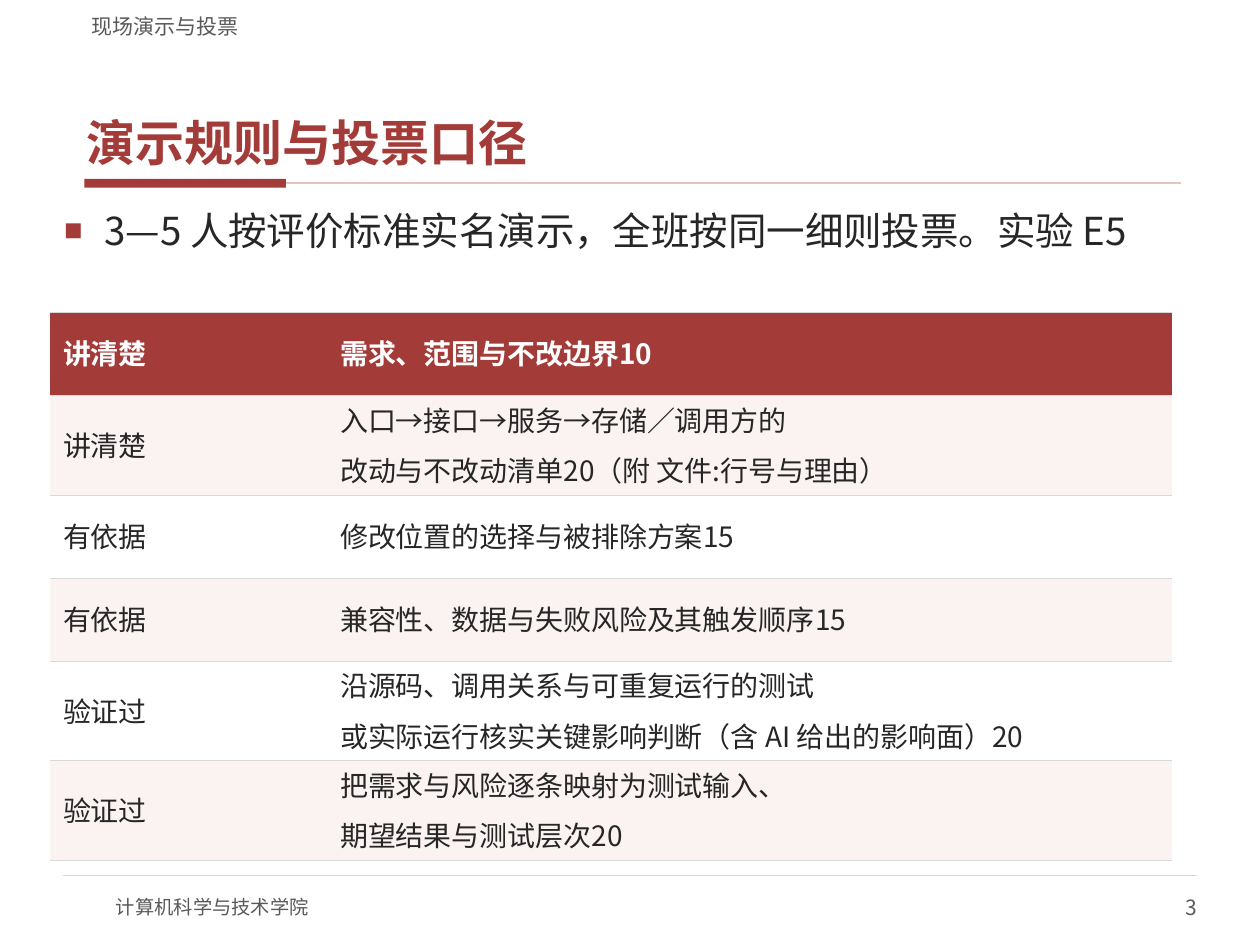
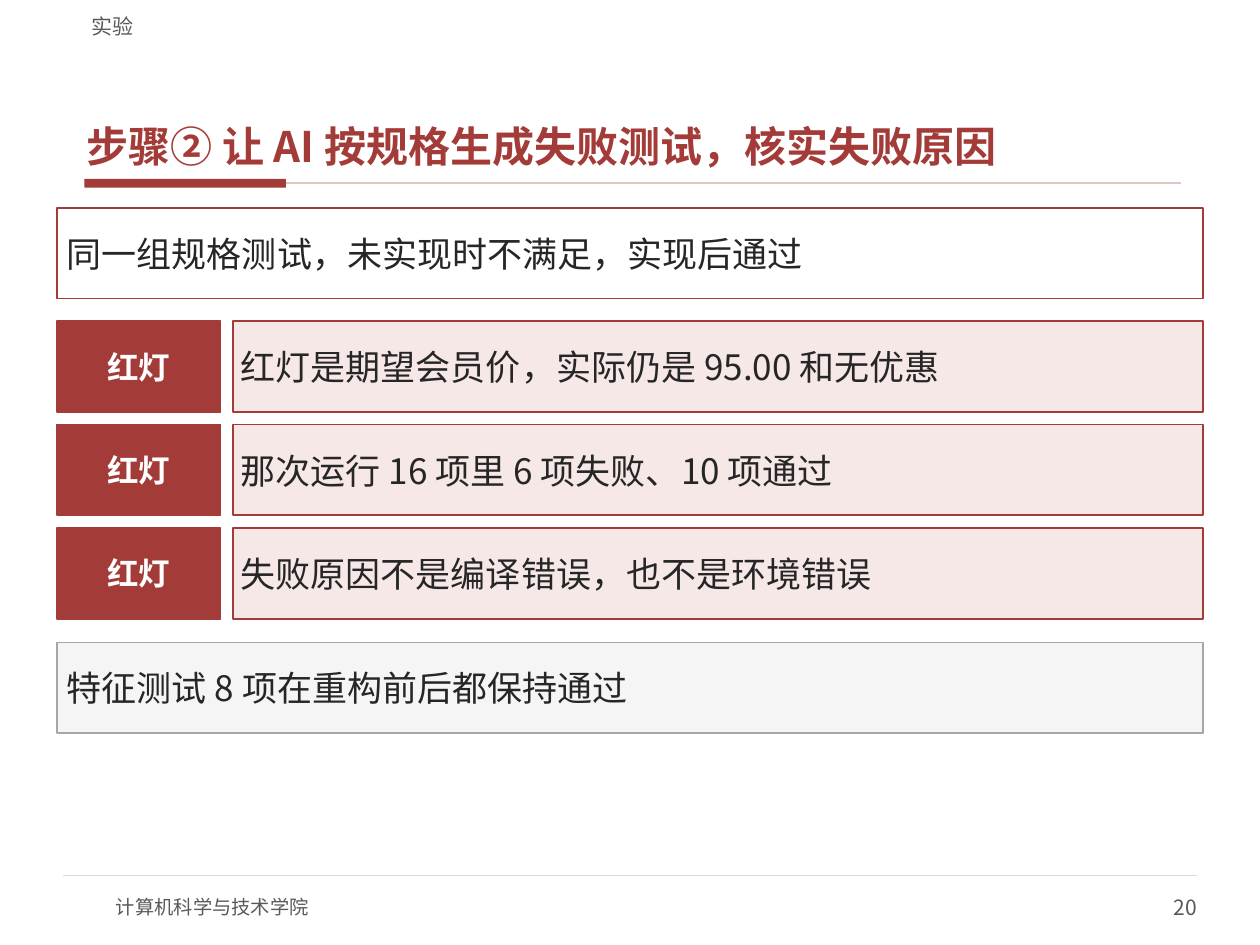
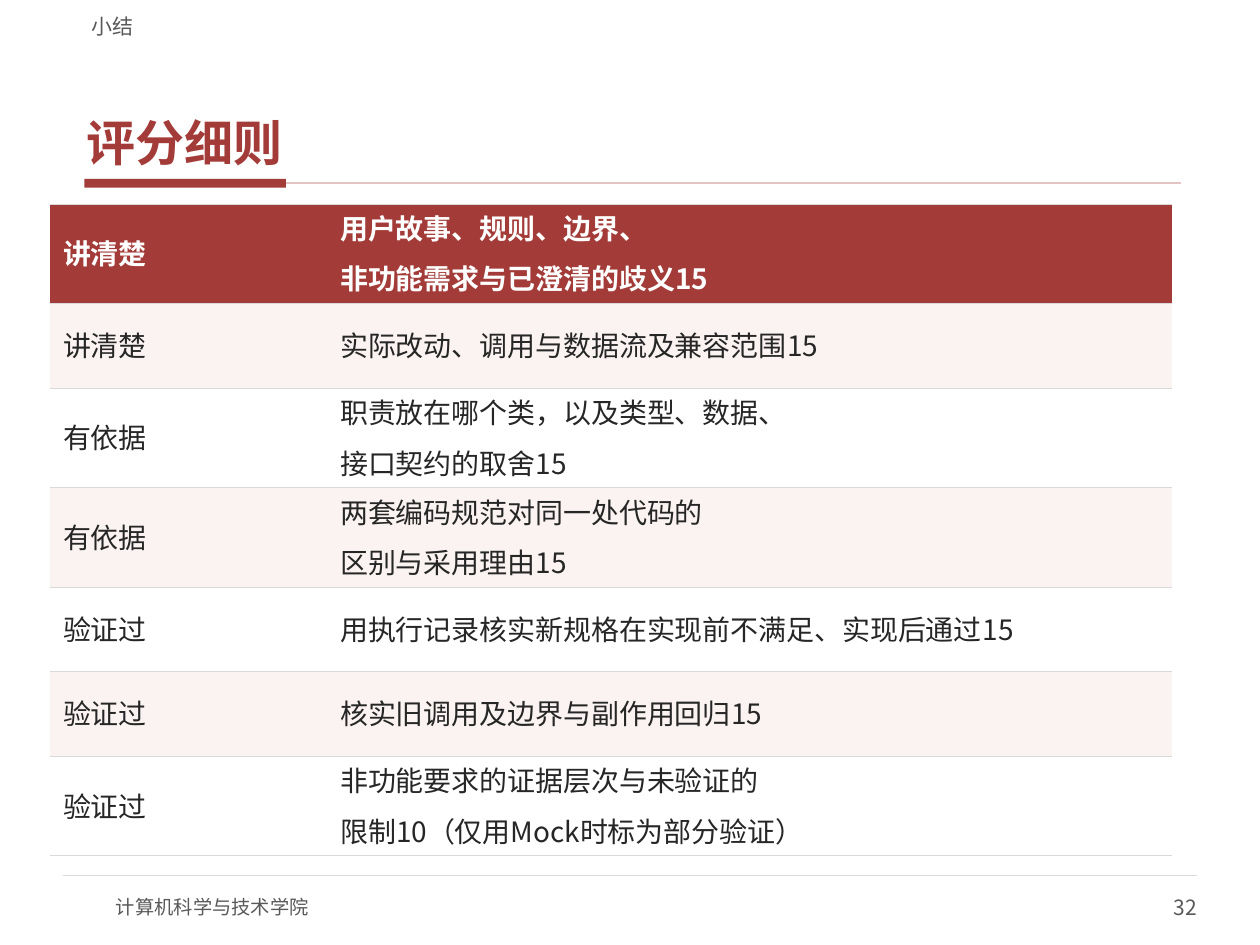
from lxml import etree
from pptx import Presentation
from pptx import util as u
from pptx.dml.color import RGBColor
from pptx.enum import shapes, text
from pptx.oxml import ns

FONT = "Noto Sans CJK SC"
RED, PINK, PALE = "A33B38", "F6E8E6", "FBF3F2"
RULE, LINE, MUTED, INK = "E3C4C2", "D9D9D9", "595959", "262626"
WHITE, SILVER, GRAY = "FFFFFF", "F5F5F5", "A6A6A6"
LEFT, CENTER, RIGHT = text.PP_ALIGN.LEFT, text.PP_ALIGN.CENTER, text.PP_ALIGN.RIGHT
TOP, MIDDLE, BOTTOM = (text.MSO_ANCHOR.TOP, text.MSO_ANCHOR.MIDDLE,
                       text.MSO_ANCHOR.BOTTOM)

RULES = [
    ("讲清楚", "需求、范围与不改边界10"),
    ("讲清楚", "入口→接口→服务→存储／调用方的\n改动与不改动清单20（附 文件:行号与理由）"),
    ("有依据", "修改位置的选择与被排除方案15"),
    ("有依据", "兼容性、数据与失败风险及其触发顺序15"),
    ("验证过", "沿源码、调用关系与可重复运行的测试\n或实际运行核实关键影响判断（含 AI 给出的影响面）20"),
    ("验证过", "把需求与风险逐条映射为测试输入、\n期望结果与测试层次20"),
]
SCORES = [
    ("讲清楚", "用户故事、规则、边界、\n非功能需求与已澄清的歧义15"),
    ("讲清楚", "实际改动、调用与数据流及兼容范围15"),
    ("有依据", "职责放在哪个类，以及类型、数据、\n接口契约的取舍15"),
    ("有依据", "两套编码规范对同一处代码的\n区别与采用理由15"),
    ("验证过", "用执行记录核实新规格在实现前不满足、实现后通过15"),
    ("验证过", "核实旧调用及边界与副作用回归15"),
    ("验证过", "非功能要求的证据层次与未验证的\n限制10（仅用Mock时标为部分验证）"),
]
FAILURES = [
    "红灯是期望会员价，实际仍是 95.00 和无优惠",
    "那次运行 16 项里 6 项失败、10 项通过",
    "失败原因不是编译错误，也不是环境错误",
]


def rgb(value):
    """Turn a hex string into a colour."""
    return RGBColor.from_string(value)


def inches(*values):
    """Turn numbers into lengths."""
    return [u.Inches(value) for value in values]


def add_element(parent, tag, **attributes):
    """Append a drawing element and return it."""
    return etree.SubElement(parent, ns.qn(tag), attributes)


def add_bullet(paragraph, indent):
    """Give a paragraph a small red square bullet."""
    properties = paragraph._p.get_or_add_pPr()
    properties.set("marL", str(u.Inches(indent)))
    properties.set("indent", str(-u.Inches(indent)))
    add_element(add_element(properties, "a:buClr"), "a:srgbClr", val=RED)
    add_element(properties, "a:buSzPct", val="80000")
    add_element(properties, "a:buFont", typeface="Arial")
    add_element(properties, "a:buChar", char="■")


def write(frame, content, size=16, color=INK, bold=False, align=LEFT, anchor=MIDDLE,
          margins=(0, 0), before=0, after=0, spacing=None, bullet=None):
    """Fill a text frame with one paragraph for each line of content."""
    frame.word_wrap = True
    frame.vertical_anchor = anchor
    frame.margin_left = frame.margin_right = u.Inches(margins[0])
    frame.margin_top = frame.margin_bottom = u.Inches(margins[1])
    for index, line in enumerate(content.split("\n")):
        paragraph = frame.add_paragraph() if index else frame.paragraphs[0]
        if bullet:
            add_bullet(paragraph, bullet)
        paragraph.alignment = align
        paragraph.space_before = u.Pt(before if index else 0)
        paragraph.space_after = u.Pt(after)
        paragraph.line_spacing = spacing
        run = paragraph.add_run()
        run.text = line
        font = run.font
        font.size, font.bold, font.name = u.Pt(size), bold, FONT
        font.color.rgb = rgb(color)
        add_element(run._r.get_or_add_rPr(), "a:ea", typeface=FONT)


def add_label(slide, box, content, **style):
    """Add a text box."""
    shape = slide.shapes.add_textbox(*inches(*box))
    write(shape.text_frame, content, **style)


def add_box(slide, box, fill, line=None):
    """Add a flat rectangle, outlined if a line colour is given."""
    shape = slide.shapes.add_shape(shapes.MSO_SHAPE.RECTANGLE, *inches(*box))
    shape.shadow.inherit = False
    shape.fill.solid()
    shape.fill.fore_color.rgb = rgb(fill)
    if line:
        shape.line.color.rgb = rgb(line)
        shape.line.width = u.Pt(1)
    else:
        shape.line.fill.background()
    return shape


def add_rule(slide, left, right, top, color, width):
    """Add a thin horizontal line."""
    rule = slide.shapes.add_connector(shapes.MSO_CONNECTOR.STRAIGHT,
                                      *inches(left, top, right, top))
    rule.line.color.rgb = rgb(color)
    rule.line.width = u.Pt(width)
    add_element(rule._element.spPr, "a:effectLst")
    return rule


def add_heading(slide, box, title, size):
    """Format the title and underline it with a bar and a rule."""
    left, top, width, height = box
    shape = slide.shapes.title
    shape.left, shape.top, shape.width, shape.height = inches(*box)
    shape.text_frame.auto_size = text.MSO_AUTO_SIZE.NONE
    write(shape.text_frame, title, size=size, color=RED, bold=True, anchor=BOTTOM,
          margins=(0.06, 0.02), after=2)
    bar_top, bar_height = top + height + 0.04, 0.07
    bar = add_box(slide, (left + 0.04, bar_top, 1.6, bar_height), RED)
    rule = add_rule(slide, left + 1.64, left + width - 0.01, bar_top + bar_height / 2,
                    RULE, 1)
    rule.begin_connect(bar, 3)


def add_footer(slide, box, number):
    """Add the footer line, the school and the page number."""
    left, top, width, height = box
    add_rule(slide, left, left + width, top, LINE, 0.75)
    add_label(slide, (left + 0.42, top + 0.05, 4, height), "计算机科学与技术学院",
              size=11, color=MUTED)
    add_label(slide, (left + width - 2, top + 0.05, 2, height), str(number),
              size=12, color=MUTED, align=RIGHT)


def new_slide(presentation, section, title, number, size=28):
    """Add a slide with the shared section label, heading and footer."""
    slide = presentation.slides.add_slide(presentation.slide_layouts[5])
    add_heading(slide, (0.63, 0.33, 8.75, 1.05), title, size)
    add_footer(slide, (0.5, 6.95, 9, 0.4), number)
    add_label(slide, (0.63, 0.04, 8.75, 0.27), section, size=12, color=MUTED,
              anchor=BOTTOM, margins=(0.1, 0))
    return slide


def style_cell(cell, fill):
    """Fill a cell and rule only its top and bottom."""
    cell.fill.solid()
    cell.fill.fore_color.rgb = rgb(fill)
    properties = cell._tc.get_or_add_tcPr()
    for index, side in enumerate("LRTB"):
        border = add_element(properties, f"a:ln{side}", w=str(u.Pt(0.75)))
        if side in "TB":
            add_element(add_element(border, "a:solidFill"), "a:srgbClr", val=LINE)
        else:
            add_element(border, "a:noFill")
        properties.insert(index, border)


def add_criteria(slide, box, rows, two_line_height=0.79):
    """Add a striped criteria table whose two-line rows are taller."""
    table = slide.shapes.add_table(len(rows), 2, *inches(*box)).table
    table.horz_banding = False
    table.columns[0].width, table.columns[1].width = inches(2.2, box[2] - 2.2)
    for row, values in enumerate(rows):
        height = two_line_height if "\n" in values[1] else box[3] / len(rows)
        table.rows[row].height = u.Inches(height)
        fill = (PALE if row % 2 else WHITE) if row else RED
        for column, value in enumerate(values):
            cell = table.cell(row, column)
            style_cell(cell, fill)
            write(cell.text_frame, value, color=INK if row else WHITE, bold=not row,
                  margins=(0.1, 0.05), before=6, after=2, spacing=0.9)
            cell.vertical_anchor = MIDDLE


def add_statement(slide, box, content, fill, line, margins=(0.08, 0.04), **style):
    """Add an outlined box with a statement."""
    write(add_box(slide, box, fill, line).text_frame, content, margins=margins,
          **{"size": 20, **style})


def add_test_steps(slide, box):
    """Stack the specification, the failing results and the kept tests."""
    left, top, width, height = box
    row_height, gap, block_gap, tag_width = 0.72, 0.1, 0.18, 1.3
    add_statement(slide, (left, top, width, row_height),
                  "同一组规格测试，未实现时不满足，实现后通过", WHITE, RED)
    offset = tag_width + gap
    for index, failure in enumerate(FAILURES):
        row_top = top + row_height + block_gap + index * (row_height + gap)
        add_statement(slide, (left, row_top, tag_width, row_height), "红灯", RED, RED,
                      size=18, color=WHITE, bold=True, align=CENTER)
        add_statement(slide, (left + offset, row_top, width - offset, row_height),
                      failure, PINK, RED, margins=(0.06, 0.03))
    add_statement(slide, (left, top + height - row_height, width, row_height),
                  "特征测试 8 项在重构前后都保持通过", SILVER, GRAY)


def main():
    """Build the three slides and save them."""
    presentation = Presentation()
    presentation.slide_width, presentation.slide_height = inches(10, 7.5)

    slide = new_slide(presentation, "现场演示与投票", "演示规则与投票口径", 3)
    add_label(slide, (0.45, 1.62, 9.1, 0.78),
              "3—5 人按评价标准实名演示，全班按同一细则投票。实验 E5", size=22,
              anchor=TOP, margins=(0.06, 0.02), after=2, bullet=0.32)
    add_criteria(slide, (0.4, 2.48, 8.9, 3.96), RULES)

    slide = new_slide(presentation, "实验",
                      "步骤② 让 AI 按规格生成失败测试，核实失败原因", 20, size=24)
    add_test_steps(slide, (0.45, 1.65, 9.1, 4.17))

    slide = new_slide(presentation, "小结", "评分细则", 32)
    add_criteria(slide, (0.4, 1.62, 8.9, 4.7), SCORES)

    presentation.save("out.pptx")


if __name__ == "__main__":
    main()
